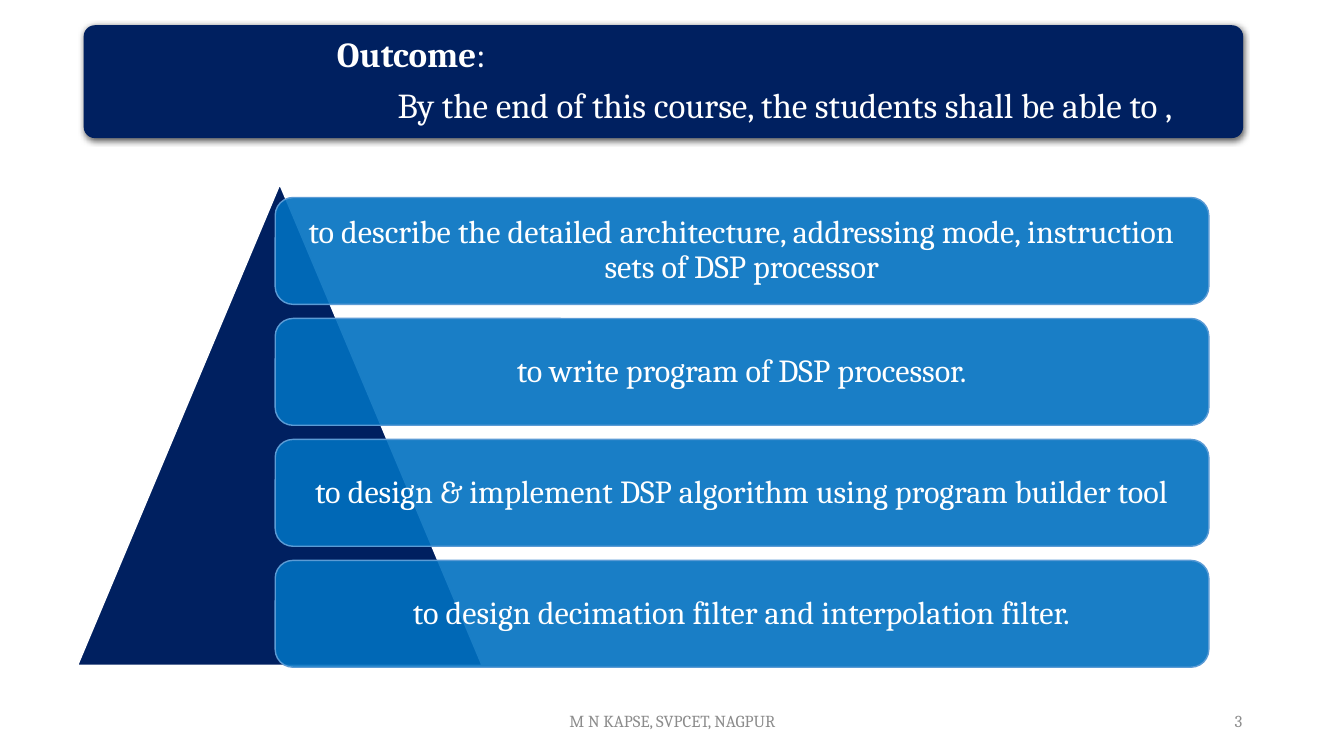
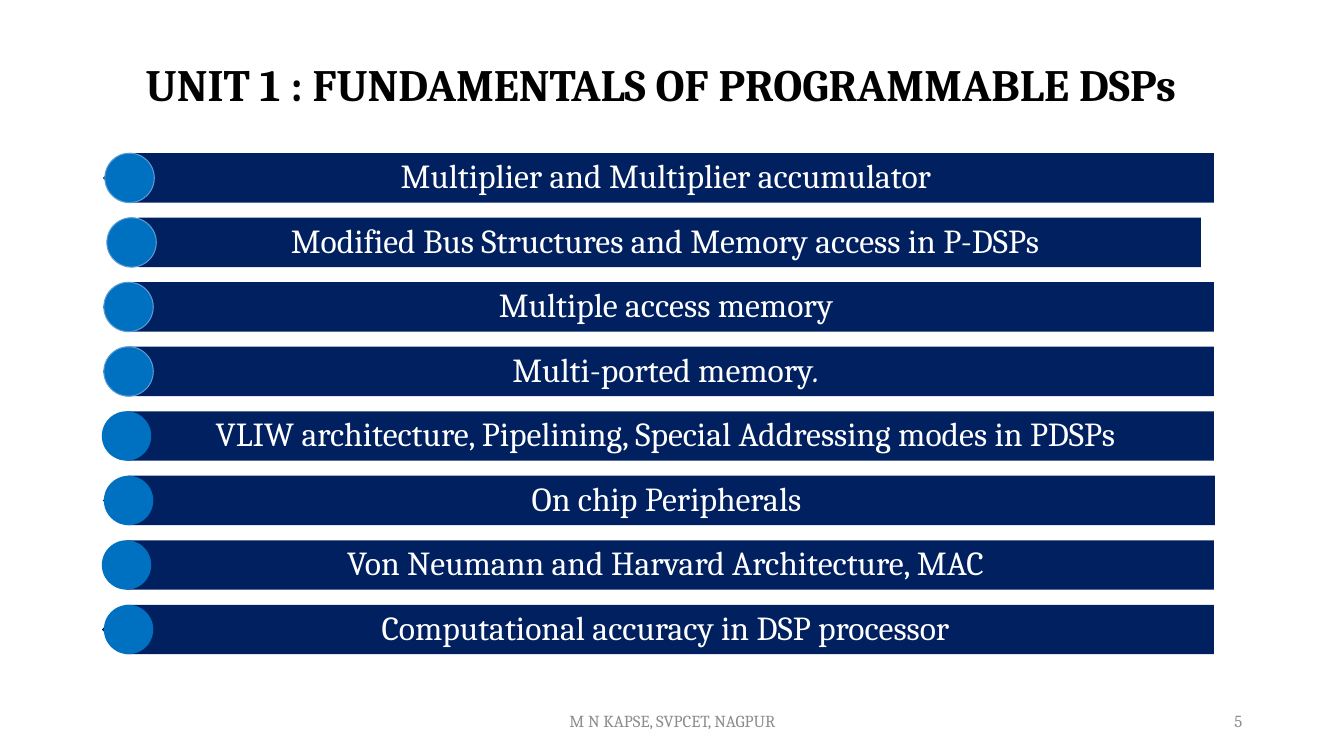
from lxml.etree import SubElement
from pptx import Presentation
from pptx.dml.color import RGBColor
from pptx.enum.shapes import MSO_SHAPE
from pptx.enum.text import MSO_ANCHOR, PP_ALIGN
from pptx.oxml.ns import qn
from pptx.util import Inches, Pt

NAVY = RGBColor(0x00, 0x20, 0x60)
BLUE = RGBColor(0x00, 0x70, 0xC0)
EDGE = RGBColor(0x5B, 0x9B, 0xD5)
GREY = RGBColor(0x8C, 0x8C, 0x8C)
WHITE = RGBColor(0xFF, 0xFF, 0xFF)
BLACK = RGBColor(0x00, 0x00, 0x00)
FONT = "Cambria"
FOOTER = "M N KAPSE, SVPCET, NAGPUR"

OUTCOMES = [
    "to describe the detailed architecture, addressing mode, instruction sets of DSP processor",
    "to write program of DSP processor.",
    "to design & implement DSP algorithm using program builder tool",
    "to design decimation filter and interpolation filter.",
]

# Topic spans, left and width of the bar, left of the dot, dot outline
TOPICS = [
    (["Multiplier and Multiplier accumulator"], 1.02, 11.02, 1.04, EDGE),
    (["Modified Bus Structures and Memory access in P-DSPs"], 1.13, 10.78, 1.06, EDGE),
    (["Multiple access memory"], 1.02, 11.02, 1.03, EDGE),
    (["Multi-ported memory", (".", {"italic": True})], 1.02, 11.02, 1.03, EDGE),
    (["VLIW architecture, Pipelining, Special Addressing modes in PDSPs"],
     1.01, 11.03, 1.01, None),
    (["On chip Peripherals"], 1.02, 11.03, 1.03, None),
    (["Von Neumann and Harvard Architecture, MAC"], 1.01, 11.03, 1.01, None),
    (["Computational accuracy in DSP processor"], 1.01, 11.03, 1.03, None),
]


def write(frame, spans, size=24, color=WHITE, bold=False, align=PP_ALIGN.CENTER,
          line_spacing=0.9, space_after=0, insets=(0.1, 0.1, 0.1, 0.1), new_paragraph=False):
    """Write one paragraph; a span is a text or a (text, font settings) pair."""
    frame.word_wrap = True
    frame.vertical_anchor = MSO_ANCHOR.MIDDLE
    (frame.margin_left, frame.margin_top,
     frame.margin_right, frame.margin_bottom) = map(Inches, insets)
    para = frame.add_paragraph() if new_paragraph else frame.paragraphs[0]
    para.alignment = align
    para.line_spacing = line_spacing
    para.space_after = Pt(space_after)
    for item in spans:
        text, settings = (item, {}) if isinstance(item, str) else item
        span = para.add_run()
        span.text = text
        span.font.name = FONT
        span.font.size = Pt(size)
        span.font.bold = bold
        span.font.color.rgb = color
        for name, value in settings.items():
            setattr(span.font, name, value)


class Slides:
    def __init__(self):
        self.deck = Presentation()
        self.deck.slide_width = Inches(13.33)
        self.deck.slide_height = Inches(7.5)
        self.page = None

    def start(self, number):
        """Add a page with its footer and number."""
        self.page = self.deck.slides.add_slide(self.deck.slide_layouts[6])
        small = dict(size=12, color=GREY, line_spacing=1, insets=(0.1, 0.05, 0.1, 0.05))
        self.text(4.42, 6.95, 4.5, 0.4, [FOOTER], **small)
        self.text(9.42, 6.95, 3, 0.4, [str(number)], align=PP_ALIGN.RIGHT, **small)

    def text(self, left, top, width, height, spans, **style):
        box = self.page.shapes.add_textbox(
            Inches(left), Inches(top), Inches(width), Inches(height))
        write(box.text_frame, spans, **style)

    def shape(self, kind, left, top, width, height, fill, line=None, line_width=1, opacity=100):
        shape = self.page.shapes.add_shape(
            kind, Inches(left), Inches(top), Inches(width), Inches(height))
        shape.shadow.inherit = False
        shape.fill.solid()
        shape.fill.fore_color.rgb = fill
        if opacity < 100:
            color = shape._element.spPr.find(".//" + qn("a:srgbClr"))
            SubElement(color, qn("a:alpha"), val=str(opacity * 1000))
        if line is None:
            shape.line.fill.background()
        else:
            shape.line.color.rgb = line
            shape.line.width = Pt(line_width)
        return shape

    def header_card(self, heading, sentence):
        card = self.shape(MSO_SHAPE.ROUNDED_RECTANGLE, 0.83, 0.25, 11.5, 1.12, NAVY)
        card.adjustments[0] = 0.1
        effects = card._element.spPr.find(qn("a:effectLst"))
        shadow = SubElement(effects, qn("a:outerShdw"), blurRad=str(Pt(4.5)), dist=str(Pt(1.5)),
                            dir="5400000", algn="ctr", rotWithShape="0")
        color = SubElement(shadow, qn("a:srgbClr"), val=str(BLACK))
        SubElement(color, qn("a:alpha"), val="63000")
        style = dict(size=25, space_after=8.75, insets=(2.48, 0.07, 0.07, 0.07))
        write(card.text_frame, [(heading, {"bold": True}), ":"], align=PP_ALIGN.LEFT, **style)
        write(card.text_frame, [sentence], new_paragraph=True, **style)

    def outcome(self, top, text):
        bar = self.shape(MSO_SHAPE.ROUNDED_RECTANGLE, 2.73, top, 9.26, 1.06, BLUE,
                         line=EDGE, opacity=90)
        write(bar.text_frame, [text], size=23)

    def topic(self, top, spans, left, width, dot_left, dot_line):
        """Add a bar that points left, its text and the dot over its tip."""
        size, tip = 0.49, 0.12
        bar = self.shape(MSO_SHAPE.PENTAGON, left, top, width, size, NAVY)
        bar.rotation = 180
        self.text(left + tip, top, width - tip, size, spans, insets=(0.22, 0.1, 0.19, 0.1))
        self.shape(MSO_SHAPE.OVAL, dot_left, top, size, size, BLUE, line=dot_line, line_width=0.75)


def main():
    slides = Slides()

    slides.start(3)
    slides.header_card("Outcome", "By the end of this course, the students shall be able to ,")
    slides.shape(MSO_SHAPE.ISOSCELES_TRIANGLE, 0.77, 1.83, 4.01, 4.77, NAVY, line=WHITE)
    for row, text in enumerate(OUTCOMES):
        slides.outcome(1.96 + 1.2 * row, text)

    slides.start(5)
    slides.text(0.81, 0.14, 11.5, 1.45, ["UNIT 1 : FUNDAMENTALS OF PROGRAMMABLE DSPs"],
                size=32, color=BLACK, bold=True, insets=(0.1, 0.05, 0.1, 0.05))
    for row, topic in enumerate(TOPICS):
        slides.topic(1.52 + 0.64 * row, *topic)

    slides.deck.save("out.pptx")


if __name__ == "__main__":
    main()
